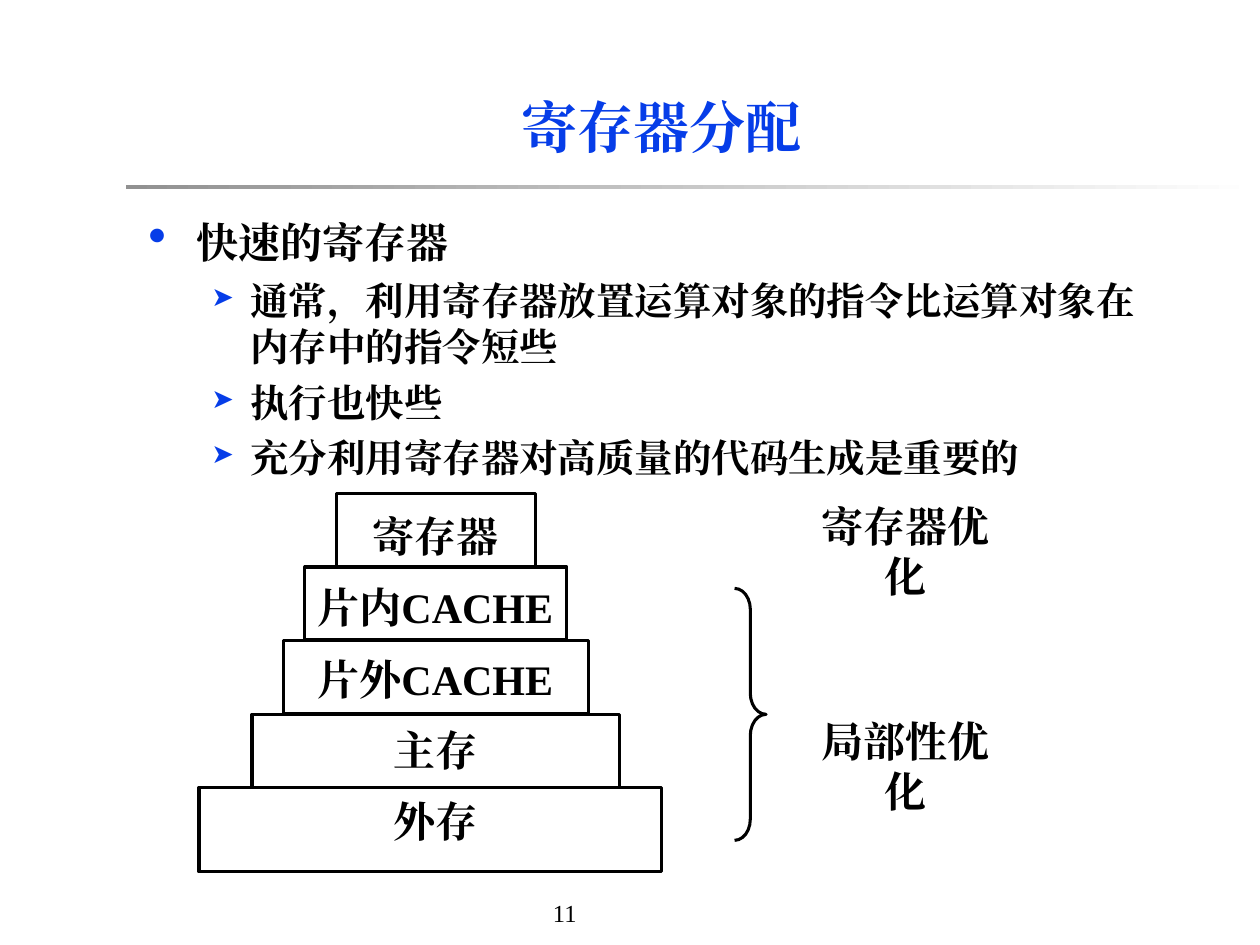
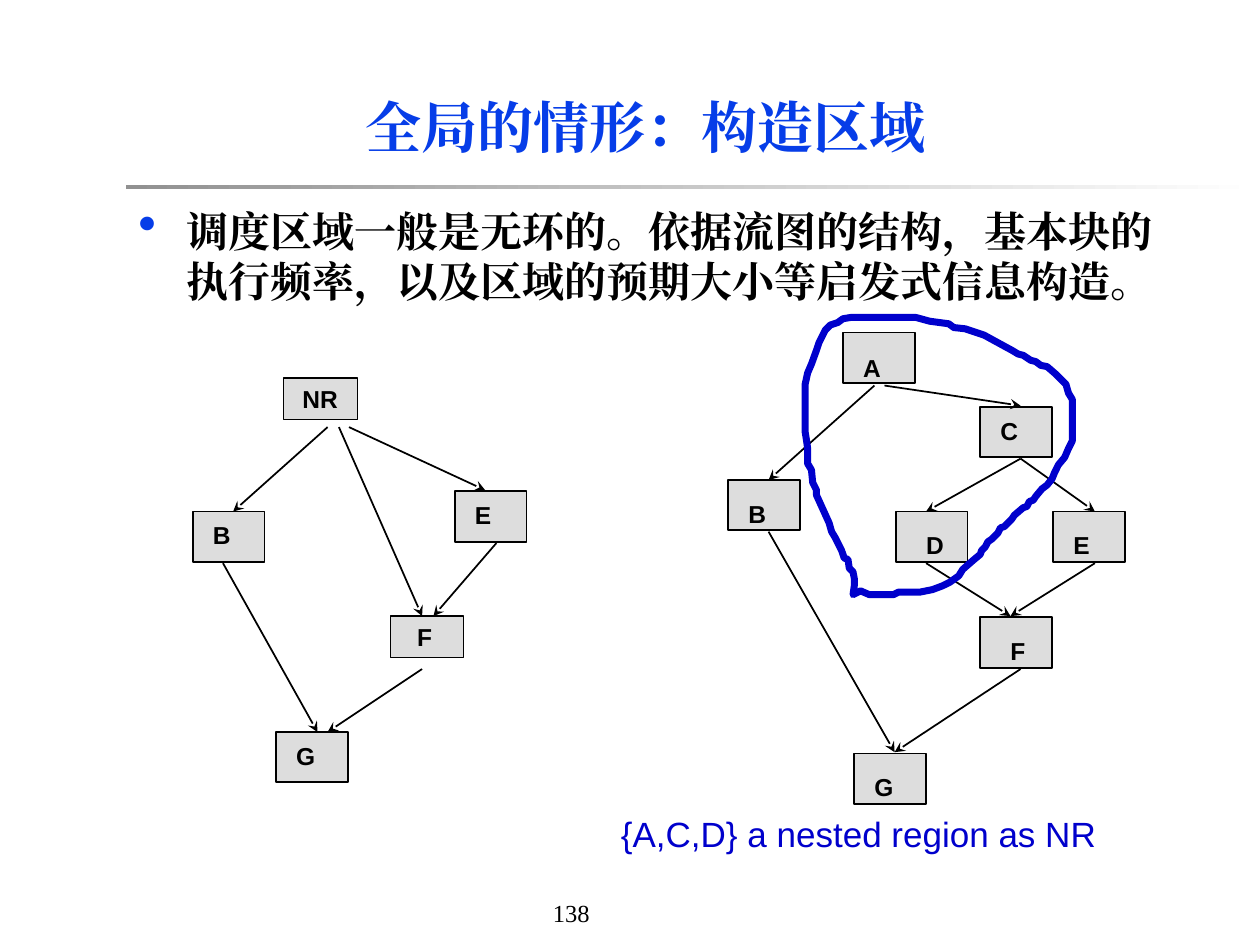
"""Build two lecture slides on register allocation and scheduling regions."""
from dataclasses import dataclass
from typing import Optional

from lxml import etree
from pptx import Presentation
from pptx.dml.color import RGBColor
from pptx.enum.shapes import MSO_CONNECTOR, MSO_SHAPE
from pptx.enum.text import MSO_ANCHOR as ANCHOR, MSO_AUTO_SIZE, PP_ALIGN as ALIGN
from pptx.oxml.ns import qn
from pptx.util import Emu, Pt

PX = 9144
COLORS = {
    "title": "063DE8",
    "text": "000000",
    "node": "DDDDDD",
    "region": "0000CC",
    "bar_start": "919191",
    "bar_end": "FFFFFF",
}
SERIF, SANS = "Times New Roman", "Arial"


@dataclass(frozen=True)
class Box:
    x: int
    y: int
    w: int
    h: int


@dataclass(frozen=True)
class Bullet:
    char: str
    percent: int
    left: int
    hang: int


@dataclass(frozen=True)
class Node:
    label: str
    x: int
    y: int
    inset_x: int = 16
    inset_y: int = 7
    w: int = 57
    h: int = 40
    line: float = 1


@dataclass(frozen=True)
class Arrow:
    x1: int
    y1: int
    x2: int
    y2: int


DOT = Bullet("•", 125, 38, 38)
WEDGE = Bullet("➤", 70, 81, 31)

POINTS = [
    "通常，利用寄存器放置运算对象的指令比运算对象在内存中的指令短些",
    "执行也快些",
    "充分利用寄存器对高质量的代码生成是重要的",
]
LEVELS = ["寄存器", "片内CACHE", "片外CACHE", "主存", "外存"]
LEVEL_BOXES = [
    Box(267, 392, 158, 58),
    Box(242, 450, 208, 58),
    Box(225, 508, 242, 58),
    Box(200, 567, 292, 58),
    Box(158, 625, 367, 67),
]

REDUCED_NODES = [
    Node("B", 153, 406),
    Node("E", 361, 390),
    Node("G", 219, 581),
    Node("NR", 225, 300, 15, 5, 59, 33, 0.75),
    Node("F", 310, 489, 21, 5, 58, 33, 0.75),
]
REDUCED_ARROWS = [
    Arrow(260, 339, 185, 406),
    Arrow(277, 339, 385, 389),
    Arrow(269, 339, 335, 489),
    Arrow(177, 447, 252, 581),
    Arrow(335, 531, 260, 581),
    Arrow(394, 431, 344, 489),
]
FULL_NODES = [
    Node("A", 669, 264, inset_y=16),
    Node("G", 678, 598, inset_y=15),
    Node("C", 778, 323),
    Node("D", 711, 406, 24, 15),
    Node("E", 836, 406, inset_y=15),
    Node("F", 778, 490, 24, 15),
    Node("B", 578, 381, inset_y=15),
]
FULL_ARROWS = [
    Arrow(702, 306, 810, 322),
    Arrow(694, 306, 610, 381),
    Arrow(610, 422, 710, 597),
    Arrow(810, 364, 735, 406),
    Arrow(810, 364, 869, 406),
    Arrow(735, 447, 802, 489),
    Arrow(869, 447, 802, 489),
    Arrow(810, 531, 710, 597),
]
REGION = [
    (677, 472), (678, 465), (678, 459), (677, 454), (674, 451), (673, 444), (670, 443),
    (668, 437), (663, 427), (660, 422), (658, 415), (653, 404), (648, 393), (648, 389),
    (645, 383), (644, 373), (641, 368), (641, 356), (640, 349), (639, 343), (639, 305),
    (641, 296), (644, 289), (648, 278), (650, 272), (655, 262), (659, 258), (665, 256),
    (669, 253), (675, 252), (727, 252), (738, 255), (753, 257), (757, 260), (766, 261),
    (781, 266), (792, 272), (803, 278), (808, 281), (812, 282), (818, 286), (822, 287),
    (826, 290), (831, 291), (838, 297), (846, 305), (848, 312), (851, 317), (851, 350),
    (848, 356), (845, 363), (840, 369), (837, 375), (835, 380), (831, 385), (827, 388),
    (822, 394), (820, 397), (817, 398), (815, 402), (812, 403), (805, 409), (803, 412),
    (797, 418), (794, 419), (792, 423), (787, 428), (784, 430), (782, 434), (779, 437),
    (778, 440), (772, 445), (764, 452), (761, 457), (754, 462), (748, 465), (740, 468),
    (730, 470), (713, 470), (709, 472), (690, 472), (683, 469),
]


def px(n: float) -> Emu:
    return Emu(round(n * PX))


def rgb(name: str) -> RGBColor:
    return RGBColor.from_string(COLORS[name])


def place(sp, box: Box) -> None:
    sp.left, sp.top, sp.width, sp.height = map(px, (box.x, box.y, box.w, box.h))


def add_bullet(p, bullet: Bullet) -> None:
    pPr = p._p.get_or_add_pPr()
    pPr.set("marL", str(px(bullet.left)))
    pPr.set("indent", str(-px(bullet.hang)))
    clr = etree.SubElement(pPr, qn("a:buClr"))
    etree.SubElement(clr, qn("a:srgbClr"), val=COLORS["title"])
    etree.SubElement(pPr, qn("a:buSzPct"), val=str(bullet.percent * 1000))
    etree.SubElement(pPr, qn("a:buChar"), char=bullet.char)


def write(p, text: str, *, size: float = 24, color: str = "text", font: str = SERIF,
          bold: bool = True, align=ALIGN.LEFT, before: float = 0, after: float = 0,
          bullet: Optional[Bullet] = None) -> None:
    if bullet:
        add_bullet(p, bullet)
    p.alignment = align
    p.space_before, p.space_after = Pt(before), Pt(after)
    r = p.add_run()
    r.text = text
    r.font.size, r.font.name, r.font.bold = Pt(size), font, bold
    r.font.color.rgb = rgb(color)
    etree.SubElement(r._r.get_or_add_rPr(), qn("a:ea"), typeface=font)


def add_text(s, box: Box, text: str, **fmt):
    tf = s.shapes.add_textbox(*map(px, (box.x, box.y, box.w, box.h))).text_frame
    tf.word_wrap = True
    write(tf.paragraphs[0], text, **fmt)
    return tf


def add_shape(s, kind, box: Box, line: float, fill: Optional[str] = None):
    sp = s.shapes.add_shape(kind, *map(px, (box.x, box.y, box.w, box.h)))
    sp.shadow.inherit = False
    sp.line.color.rgb, sp.line.width = rgb("text"), Pt(line)
    if fill:
        sp.fill.solid()
        sp.fill.fore_color.rgb = rgb(fill)
    else:
        sp.fill.background()
    return sp


def add_node(s, node: Node) -> None:
    sp = add_shape(s, MSO_SHAPE.RECTANGLE, Box(node.x, node.y, node.w, node.h),
                   node.line, "node")
    tf = sp.text_frame
    tf.vertical_anchor = ANCHOR.TOP
    tf.margin_left, tf.margin_top = px(node.inset_x), px(node.inset_y)
    tf.margin_right = tf.margin_bottom = 0
    write(tf.paragraphs[0], node.label, size=14, font=SANS)


def add_arrow(s, arrow: Arrow) -> None:
    cx = s.shapes.add_connector(MSO_CONNECTOR.STRAIGHT,
                                *map(px, (arrow.x1, arrow.y1, arrow.x2, arrow.y2)))
    cx.line.color.rgb, cx.line.width = rgb("text"), Pt(1)
    etree.SubElement(cx.line._get_or_add_ln(), qn("a:tailEnd"), type="stealth")
    etree.SubElement(cx._element.spPr, qn("a:effectLst"))


def add_region(s) -> None:
    builder = s.shapes.build_freeform(*REGION[0], scale=PX)
    builder.add_line_segments(REGION[1:], close=True)
    sp = builder.convert_to_shape()
    sp.shadow.inherit = False
    sp.fill.background()
    sp.line.color.rgb, sp.line.width = rgb("region"), Pt(4)
    etree.SubElement(sp.line._get_or_add_ln(), qn("a:round"))


def add_slide(prs, title: str, title_width: int, number: int):
    s = prs.slides.add_slide(prs.slide_layouts[5])
    place(s.shapes.title, Box(100, 50, title_width, 100))
    tf = s.shapes.title.text_frame
    tf.auto_size, tf.vertical_anchor = MSO_AUTO_SIZE.NONE, ANCHOR.MIDDLE
    write(tf.paragraphs[0], title, size=32, color="title", align=ALIGN.CENTER)
    bar = add_shape(s, MSO_SHAPE.RECTANGLE, Box(100, 147, 900, 3), 1)
    bar.line.fill.background()
    bar.fill.gradient()
    bar.fill.gradient_angle = 0
    for stop, name in zip(bar.fill.gradient_stops, ("bar_start", "bar_end")):
        stop.color.rgb = rgb(name)
    add_text(s, Box(429, 708, 102, 33), str(number), size=14, bold=False)
    return s


def build_registers(prs) -> None:
    s = add_slide(prs, "寄存器分配", 850, 11)
    tf = add_text(s, Box(108, 167, 808, 517), "快速的寄存器", bullet=DOT)
    for point in POINTS:
        write(tf.add_paragraph(), point, size=22, before=5.5, bullet=WEDGE)
    for box in LEVEL_BOXES:
        add_shape(s, MSO_SHAPE.RECTANGLE, box, 1.75)
    spaced = dict(align=ALIGN.CENTER, after=6)
    tf = add_text(s, Box(238, 400, 215, 277), LEVELS[0], **spaced)
    for level in LEVELS[1:]:
        write(tf.add_paragraph(), level, before=6, **spaced)
    for y, label in ((392, "寄存器优化"), (563, "局部性优化")):
        add_text(s, Box(626, y, 186, 50), label, align=ALIGN.CENTER)
    brace = add_shape(s, MSO_SHAPE.RIGHT_BRACE, Box(583, 467, 25, 200), 1.75)
    brace.adjustments[0] = 0.67


def build_regions(prs) -> None:
    s = add_slide(prs, "全局的情形：构造区域", 825, 138)
    add_text(s, Box(100, 158, 825, 517),
             "调度区域一般是无环的。依据流图的结构，基本块的执行频率，"
             "以及区域的预期大小等启发式信息构造。", bullet=DOT)
    for node in REDUCED_NODES + FULL_NODES:
        add_node(s, node)
    for arrow in REDUCED_ARROWS + FULL_ARROWS:
        add_arrow(s, arrow)
    add_region(s)
    add_text(s, Box(483, 640, 410, 44), "{A,C,D} a nested region as NR",
             size=20, color="region", font=SANS, bold=False)


def main() -> None:
    prs = Presentation()
    prs.slide_width, prs.slide_height = px(1000), px(750)
    build_registers(prs)
    build_regions(prs)
    prs.save("out.pptx")


if __name__ == "__main__":
    main()
